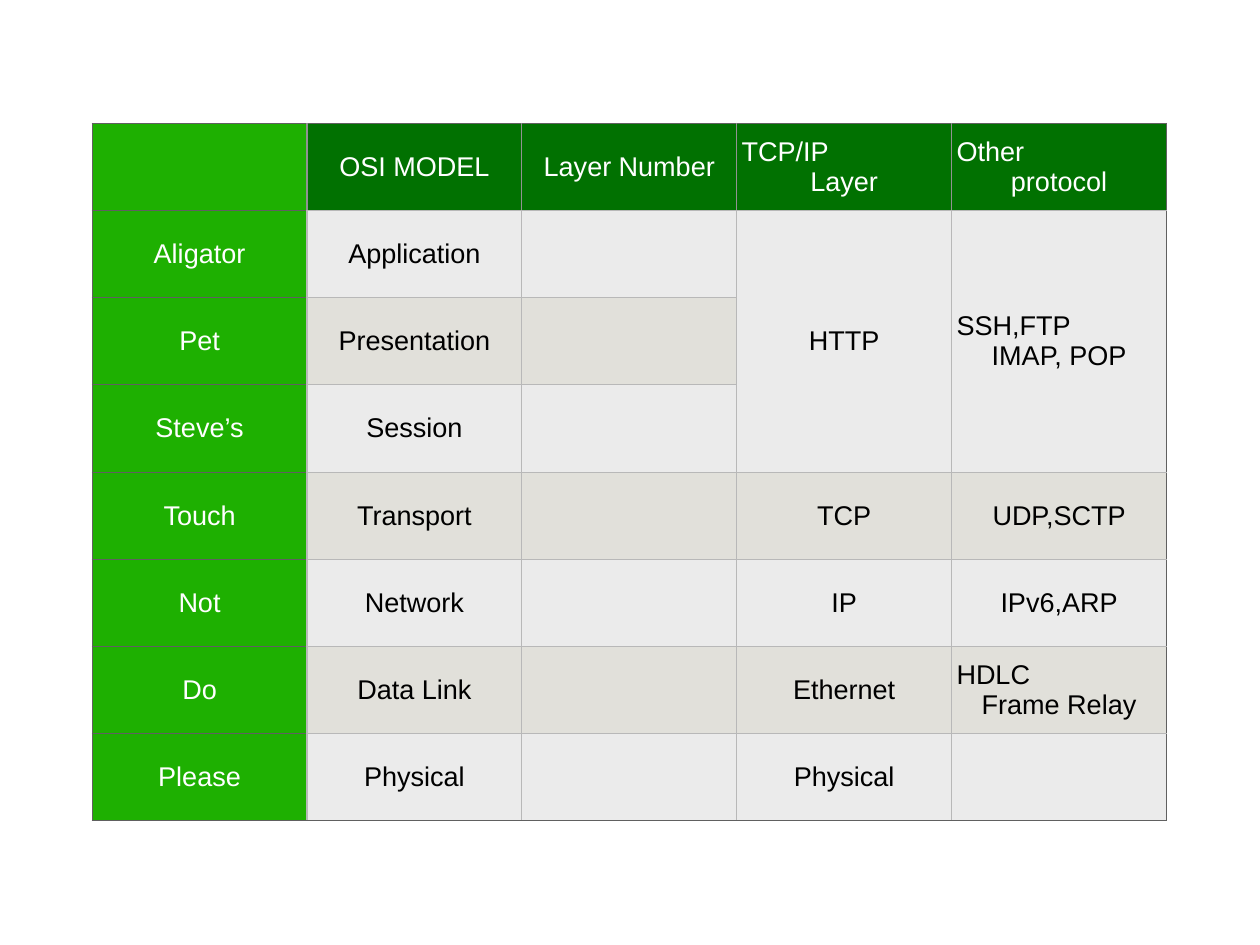
"""Build a slide with a table matching OSI layers to TCP/IP layers."""
from lxml import etree
from pptx import Presentation
from pptx.dml.color import RGBColor
from pptx.enum.text import MSO_ANCHOR, PP_ALIGN
from pptx.oxml.ns import qn
from pptx.util import Cm, Pt

LEFT, CENTER = PP_ALIGN.LEFT, PP_ALIGN.CENTER
MIDDLE = MSO_ANCHOR.MIDDLE

ROWS = [
    ("", "OSI MODEL", "Layer Number", "TCP/IP\nLayer", "Other\nprotocol"),
    ("Aligator", "Application", "", "HTTP", "SSH,FTP\nIMAP, POP"),
    ("Pet", "Presentation", "", "", ""),
    ("Steve’s", "Session", "", "", ""),
    ("Touch", "Transport", "", "TCP", "UDP,SCTP"),
    ("Not", "Network", "", "IP", "IPv6,ARP"),
    ("Do", "Data Link", "", "Ethernet", "HDLC\nFrame Relay"),
    ("Please", "Physical", "", "Physical", ""),
]
MERGES = [((1, 3), (3, 3)), ((1, 4), (3, 4))]
COLORS = {
    "head": "017101", "side": "1EB001", "odd": "EBEBEB", "even": "E1E0DA",
    "dark": "606060", "mid": "929292", "light": "B8B8B8",
    "white": "FFFFFF", "black": "000000",
}
COL_W, ROW_H = Cm(6.16), Cm(2.5)
INSET = Cm(0.14)
LAST_ROW, LAST_COL = len(ROWS) - 1, len(ROWS[0]) - 1


def color(name):
    return RGBColor.from_string(COLORS[name])


def pick_fill(row, col):
    if col == 0:
        return "side"
    if row == 0:
        return "head"
    return "odd" if row % 2 else "even"


def pick_edges(row, col):
    if col == 0 and row > 0:
        return dict.fromkeys("LRTB", "dark")
    base = "light" if row else "mid"
    return {
        "L": "dark" if col == 0 else base,
        "R": "dark" if col == LAST_COL else base,
        "T": "dark" if row == 0 else base,
        "B": "dark" if row in (0, LAST_ROW) else base,
    }


def draw_edges(cell, edges):
    props = cell._tc.get_or_add_tcPr()
    for spot, (side, name) in enumerate(edges.items()):
        line = etree.Element(qn(f"a:ln{side}"), w=str(Pt(1)))
        fill = etree.SubElement(line, qn("a:solidFill"))
        etree.SubElement(fill, qn("a:srgbClr"), val=COLORS[name])
        props.insert(spot, line)


def write_text(cell, text, ink):
    cell.text = text
    paras = cell.text_frame.paragraphs
    for para in paras:
        para.alignment = CENTER
        para.font.name = "Arial"
        para.font.size = Pt(22)
        para.font.color.rgb = color(ink)
    if len(paras) > 1:
        paras[0].alignment = LEFT


def main():
    deck = Presentation()
    deck.slide_width, deck.slide_height = Cm(36.12), Cm(27.1)
    slide = deck.slides.add_slide(deck.slide_layouts[6])
    count, width = len(ROWS), len(ROWS[0])
    table = slide.shapes.add_table(
        count, width, Cm(2.64), Cm(3.54), COL_W * width, ROW_H * count
    ).table
    table.first_row = table.horz_banding = False
    for column in table.columns:
        column.width = COL_W
    for line in table.rows:
        line.height = ROW_H

    for row, texts in enumerate(ROWS):
        for col, text in enumerate(texts):
            cell = table.cell(row, col)
            cell.margin_left = cell.margin_right = INSET
            cell.margin_top = cell.margin_bottom = INSET
            cell.vertical_anchor = MIDDLE
            cell.fill.solid()
            cell.fill.fore_color.rgb = color(pick_fill(row, col))
            draw_edges(cell, pick_edges(row, col))
            write_text(cell, text, "black" if row and col else "white")

    for start, end in MERGES:
        table.cell(*start).merge(table.cell(*end))
    deck.save("out.pptx")


if __name__ == "__main__":
    main()
